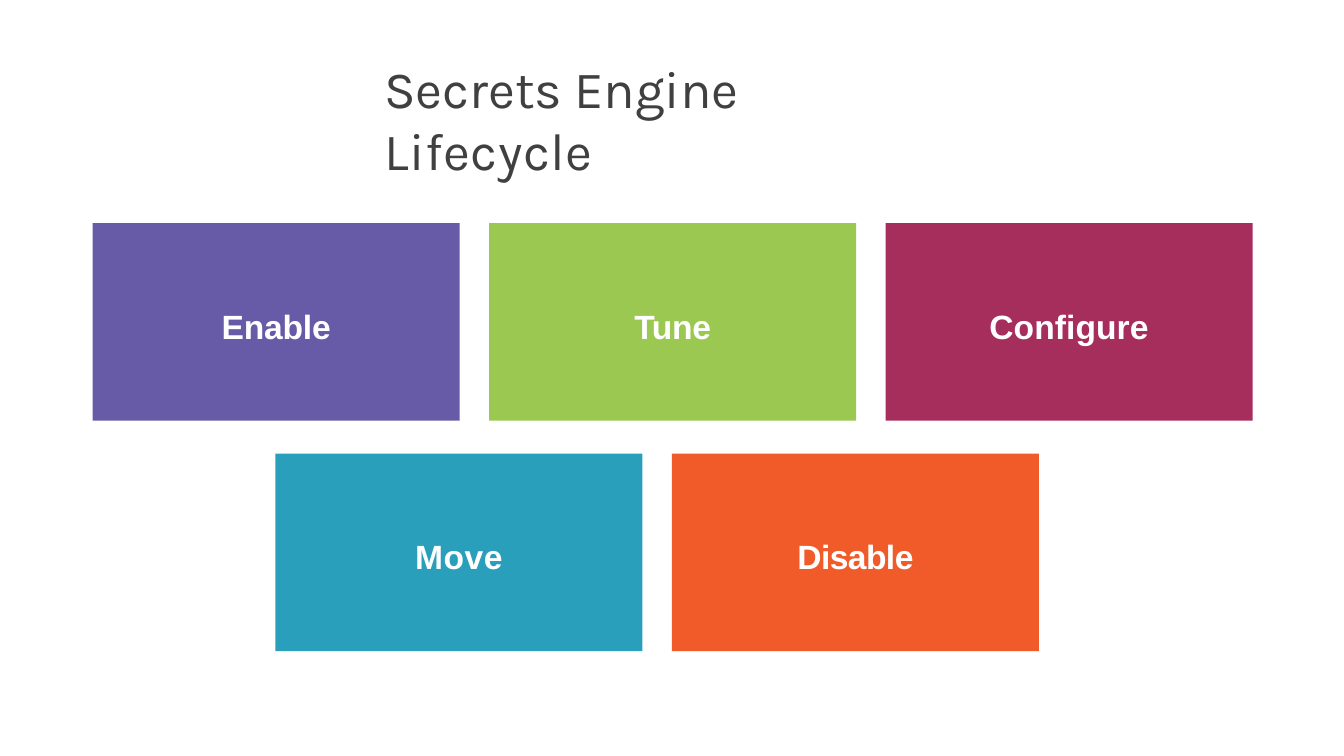
import pptx
import pptx.util
import pptx.dml.color
import pptx.enum.shapes
import pptx.enum.text

Inches = pptx.util.Inches
Pt = pptx.util.Pt
Anchor = pptx.enum.text.MSO_ANCHOR
Align = pptx.enum.text.PP_ALIGN
Fit = pptx.enum.text.MSO_AUTO_SIZE

COLORS = {
    "gray": "404040",
    "white": "FFFFFF",
    "purple": "675BA7",
    "green": "9BC850",
    "wine": "A62E5C",
    "blue": "2A9FBC",
    "orange": "F15B2A",
}
WIDTH, HEIGHT, STEP = 5.46, 2.94, 5.9
ROWS = [
    (1.38, 3.32, [("Enable", "purple", -20), ("Tune", "green", -40),
                  ("Configure", "wine", 10)]),
    (4.1, 6.75, [("Move", "blue", 60), ("Disable", "orange", -60)]),
]


def color(name):
    return pptx.dml.color.RGBColor.from_string(COLORS[name])


def apply(target, values):
    for key, value in values.items():
        setattr(target, key, value)


class Deck:
    title_font = {"name": "Karla", "size": Pt(56), "bold": False}
    box_font = {"name": "Arial", "size": Pt(36), "bold": True}
    frame = {"margin_left": 0, "margin_right": 0, "margin_bottom": 0,
             "word_wrap": True}

    def __init__(self, slide):
        self.slide = slide

    def run(self, para, text, font, tint, spacing):
        run = para.add_run()
        run.text = text
        apply(run.font, font)
        run.font.color.rgb = color(tint)
        run._r.get_or_add_rPr().set("spc", str(spacing))

    def title(self, parts, left, top, width, height):
        shape = self.slide.shapes.title
        apply(shape, {"left": Inches(left), "top": Inches(top),
                      "width": Inches(width), "height": Inches(height)})
        frame = shape.text_frame
        apply(frame, self.frame | {"margin_top": Inches(0.01),
                                   "vertical_anchor": Anchor.TOP,
                                   "auto_size": Fit.SHAPE_TO_FIT_TEXT})
        para = frame.paragraphs[0]
        apply(para, {"alignment": Align.LEFT, "space_before": Pt(1)})
        for text, spacing in parts:
            self.run(para, text, self.title_font, "gray", spacing)

    def box(self, text, fill, spacing, left, top):
        shape = self.slide.shapes.add_shape(
            pptx.enum.shapes.MSO_SHAPE.RECTANGLE,
            Inches(left), Inches(top), Inches(WIDTH), Inches(HEIGHT))
        shape.shadow.inherit = False
        shape.fill.solid()
        shape.fill.fore_color.rgb = color(fill)
        shape.line.fill.background()
        frame = shape.text_frame
        apply(frame, self.frame | {"margin_top": Inches(0.12),
                                   "vertical_anchor": Anchor.MIDDLE})
        para = frame.paragraphs[0]
        para.alignment = Align.CENTER
        self.run(para, text, self.box_font, "white", spacing)


def main():
    show = pptx.Presentation()
    apply(show, {"slide_width": Inches(20), "slide_height": Inches(11.25)})
    deck = Deck(show.slides.add_slide(show.slide_layouts[5]))
    deck.title([("Secrets Engine ", -10), ("Lifecycle", 50)],
               5.72, 0.82, 8.55, 0.96)
    for left, top, boxes in ROWS:
        for index, (text, fill, spacing) in enumerate(boxes):
            deck.box(text, fill, spacing, left + index * STEP, top)
    show.save("out.pptx")


if __name__ == "__main__":
    main()
